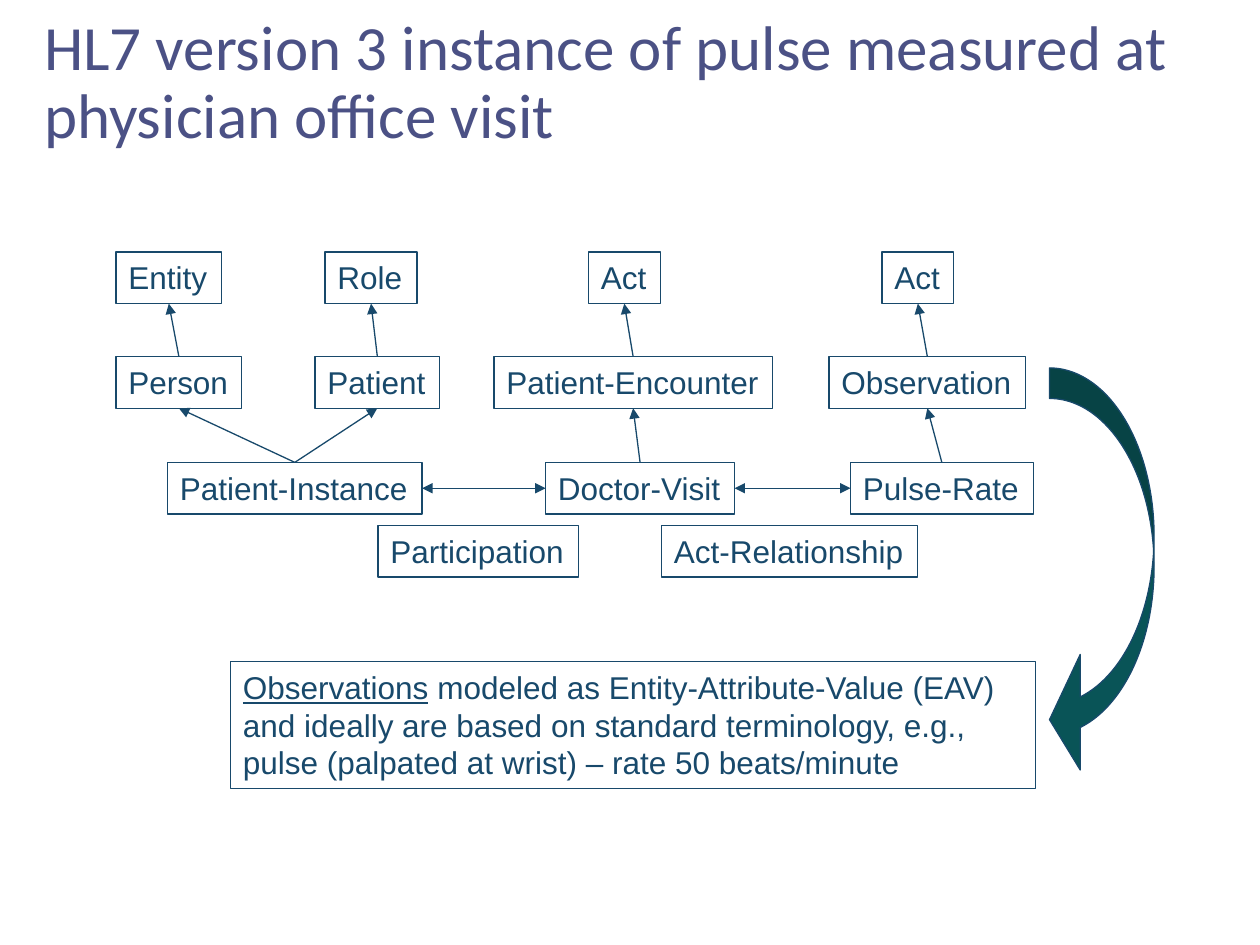
from lxml import etree
from pptx import Presentation
from pptx.dml.color import RGBColor
from pptx.enum.shapes import MSO_CONNECTOR as CONNECTOR, MSO_SHAPE as SHAPE
from pptx.enum.text import MSO_ANCHOR as ANCHOR, MSO_AUTO_SIZE as AUTO_SIZE, PP_ALIGN as ALIGN
from pptx.oxml.ns import qn
from pptx.util import Inches, Pt

INK = "18496B"
TITLE_COLOR = "4B5185"
ARROW_FILL = "095457"
TOP, LEFT, BOTTOM, RIGHT = range(4)
BOX_HEIGHT = 0.41
CLASS_ROW, SUBCLASS_ROW, INSTANCE_ROW, LINK_ROW = 0, 0.83, 1.67, 2.17

# key: (label, left, top, width), relative to the diagram
CLASSES = {
    "entity": ("Entity", 0, CLASS_ROW, 0.84),
    "role": ("Role", 1.66, CLASS_ROW, 0.73),
    "encounter act": ("Act", 3.75, CLASS_ROW, 0.57),
    "observation act": ("Act", 6.08, CLASS_ROW, 0.57),
    "person": ("Person", 0, SUBCLASS_ROW, 1),
    "patient": ("Patient", 1.58, SUBCLASS_ROW, 0.99),
    "encounter": ("Patient-Encounter", 3, SUBCLASS_ROW, 2.21),
    "observation": ("Observation", 5.66, SUBCLASS_ROW, 1.56),
    "patient instance": ("Patient-Instance", 0.41, INSTANCE_ROW, 2.02),
    "visit": ("Doctor-Visit", 3.41, INSTANCE_ROW, 1.5),
    "pulse": ("Pulse-Rate", 5.83, INSTANCE_ROW, 1.45),
    "participation": ("Participation", 2.08, LINK_ROW, 1.59),
    "act relationship": ("Act-Relationship", 4.33, LINK_ROW, 2.03),
}
INHERITANCE = [
    ("person", "entity"), ("patient", "role"),
    ("encounter", "encounter act"), ("observation", "observation act"),
    ("patient instance", "person"), ("patient instance", "patient"),
    ("visit", "encounter"), ("pulse", "observation"),
]
ASSOCIATIONS = [("patient instance", "visit"), ("visit", "pulse")]


def color(hex_value):
    return RGBColor.from_string(hex_value)


def outline(line):
    line.color.rgb = color(INK)
    line.width = Pt(0.75)


def add_run(paragraph, text, size=18, font="Arial", ink=INK, underline=None):
    run = paragraph.add_run()
    run.text = text
    run.font.size = Pt(size)
    run.font.name = font
    run.font.color.rgb = color(ink)
    run.font.underline = underline


def add_box(slide, left, top, width, height, paragraphs, wrap=False):
    """Outlined box; each paragraph is a list of (text, underline) runs."""
    box = slide.shapes.add_shape(SHAPE.RECTANGLE, Inches(left), Inches(top),
                                 Inches(width), Inches(height))
    box.shadow.inherit = False
    box.fill.background()
    outline(box.line)
    frame = box.text_frame
    frame.word_wrap = wrap
    frame.auto_size = AUTO_SIZE.SHAPE_TO_FIT_TEXT
    frame.vertical_anchor = ANCHOR.TOP
    for index, runs in enumerate(paragraphs):
        paragraph = frame.add_paragraph() if index else frame.paragraphs[0]
        paragraph.alignment = ALIGN.LEFT
        for text, underline in runs:
            add_run(paragraph, text, underline=underline)
    return box


def add_arrow(slide, start, start_side, end, end_side, ends=("tailEnd",)):
    arrow = slide.shapes.add_connector(CONNECTOR.STRAIGHT, 0, 0, 0, 0)
    arrow.begin_connect(start, start_side)
    arrow.end_connect(end, end_side)
    outline(arrow.line)
    properties = arrow.line._get_or_add_ln()
    for end_name in ends:
        etree.SubElement(properties, qn(f"a:{end_name}"), type="triangle")
    etree.SubElement(arrow._element.spPr, qn("a:effectLst"))


def add_title(slide, left, top, width, height):
    title = slide.shapes.title
    title.left, title.top = Inches(left), Inches(top)
    title.width, title.height = Inches(width), Inches(height)
    title.text_frame.word_wrap = True
    title.text_frame.auto_size = AUTO_SIZE.NONE
    title.text_frame.vertical_anchor = ANCHOR.MIDDLE
    paragraph = title.text_frame.paragraphs[0]
    paragraph.alignment = ALIGN.LEFT
    paragraph.line_spacing = 0.9
    add_run(paragraph, "HL7 version 3 instance of pulse measured at physician office visit",
            size=36, font="Calibri", ink=TITLE_COLOR)


def add_class_diagram(slide, left, top):
    boxes = {
        key: add_box(slide, left + x, top + y, width, BOX_HEIGHT, [[(label, None)]])
        for key, (label, x, y, width) in CLASSES.items()
    }
    for child, parent in INHERITANCE:
        add_arrow(slide, boxes[child], TOP, boxes[parent], BOTTOM)
    for source, target in ASSOCIATIONS:
        add_arrow(slide, boxes[source], RIGHT, boxes[target], LEFT, ("headEnd", "tailEnd"))


def add_curved_arrow(slide, left, top, width, height):
    arrow = slide.shapes.add_shape(SHAPE.CURVED_LEFT_ARROW, Inches(left), Inches(top),
                                   Inches(width), Inches(height))
    arrow.shadow.inherit = False
    for index, value in enumerate((0.292, 1.105, 0.294)):
        arrow.adjustments[index] = value
    arrow.fill.solid()
    arrow.fill.fore_color.rgb = color(ARROW_FILL)
    outline(arrow.line)


def add_observation_note(slide, left, top, width, height):
    add_box(slide, left, top, width, height, [
        [("Observations", True), (" modeled as Entity-Attribute-Value (EAV)", False)],
        [("and ideally are based on standard terminology, e.g., "
          "pulse (palpated at wrist) – rate 50 beats/minute", None)],
    ], wrap=True)


def main():
    deck = Presentation()
    deck.slide_width, deck.slide_height = Inches(10), Inches(7.5)
    slide = deck.slides.add_slide(deck.slide_layouts[5])
    add_title(slide, 0.25, 0.17, 9.51, 1)
    add_class_diagram(slide, 0.92, 2)
    add_curved_arrow(slide, 8.33, 2.92, 0.83, 3.25)
    add_observation_note(slide, 1.83, 5.25, 6.39, 1.01)
    deck.save("out.pptx")


if __name__ == "__main__":
    main()
